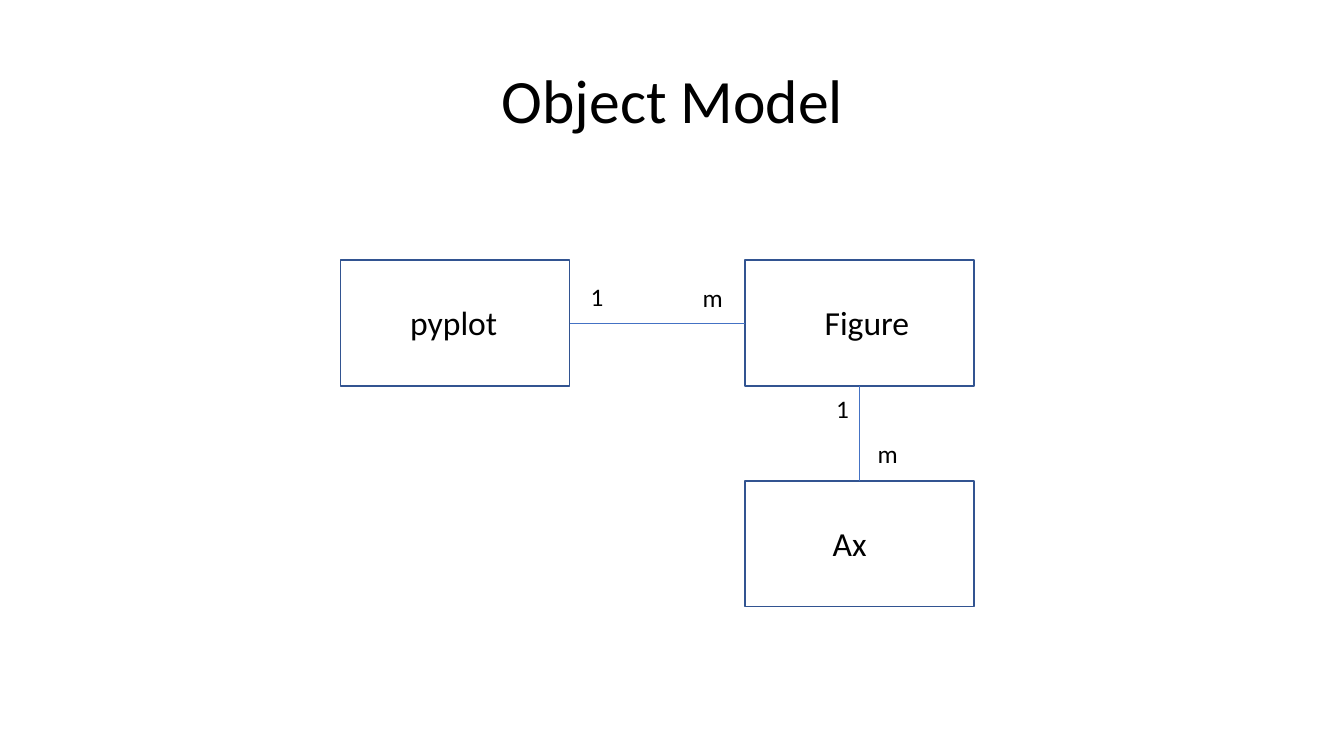
from pptx import Presentation
from pptx.dml.color import RGBColor
from pptx.enum.shapes import MSO_CONNECTOR as Link, MSO_SHAPE as Shape
from pptx.enum.text import MSO_ANCHOR as Anchor, MSO_AUTO_SIZE as Fit, PP_ALIGN as Align
from pptx.oxml.ns import qn
from pptx.util import Inches, Pt
from lxml.etree import SubElement

BLACK = RGBColor(0x00, 0x00, 0x00)
NAVY = RGBColor(0x32, 0x54, 0x91)
BLUE = RGBColor(0x44, 0x72, 0xC4)

deck = Presentation()
deck.slide_width, deck.slide_height = Inches(13.33), Inches(7.5)
slide = deck.slides.add_slide(deck.slide_layouts[5])
shapes = slide.shapes


def write(item, text, size=18, align=Align.LEFT, anchor=Anchor.TOP,
          fit=Fit.SHAPE_TO_FIT_TEXT, space=1.0):
    frame = item.text_frame
    frame.word_wrap = True
    frame.auto_size = fit
    frame.vertical_anchor = anchor
    para = frame.paragraphs[0]
    para.alignment = align
    para.line_spacing = space
    run = para.add_run()
    run.text = text
    run.font.name = "Calibri"
    run.font.size = Pt(size)
    run.font.color.rgb = BLACK


title = shapes.title
title.left, title.top = Inches(0.92), Inches(0.4)
title.width, title.height = Inches(11.5), Inches(1.25)
write(title, "Object Model", size=44, align=Align.CENTER,
      anchor=Anchor.MIDDLE, fit=Fit.NONE, space=0.9)

cols = [3.38, 7.39]
rows = [2.58, 4.77]
wide, high = 2.27, 1.25

nodes = [
    ("pyplot", 0, 0, 0.59, 1.13),
    ("Figure", 1, 0, 0.69, 1.11),
    ("Ax", 1, 1, 0.77, 0.72),
]
for name, col, row, inset, width in nodes:
    x, y = cols[col], rows[row]
    box = shapes.add_shape(Shape.RECTANGLE, Inches(x), Inches(y), Inches(wide), Inches(high))
    box.shadow.inherit = False
    box.fill.background()
    box.line.color.rgb = NAVY
    box.line.width = Pt(1)
    label = shapes.add_textbox(Inches(x + inset), Inches(y + 0.37), Inches(width), Inches(0.5))
    write(label, name, size=24)

mid_x, mid_y = cols[1] + wide / 2, rows[0] + high / 2
right, base = cols[0] + wide, rows[0] + high

links = [
    (mid_x, base, mid_x, rows[1]),
    (right, mid_y, cols[1], mid_y),
]
for ends in links:
    line = shapes.add_connector(Link.STRAIGHT, *[Inches(end) for end in ends])
    line.line.color.rgb = BLUE
    line.line.width = Pt(0.5)
    SubElement(line._element.spPr, qn("a:effectLst"))

counts = [
    ("1", right + 0.11, mid_y - 0.46, 0.26),
    ("m", cols[1] - 0.52, mid_y - 0.45, 0.36),
    ("1", mid_x - 0.33, base + 0.02, 0.26),
    ("m", mid_x + 0.08, rows[1] - 0.47, 0.36),
]
for mark, x, y, width in counts:
    note = shapes.add_textbox(Inches(x), Inches(y), Inches(width), Inches(0.4))
    write(note, mark)

deck.save("out.pptx")
